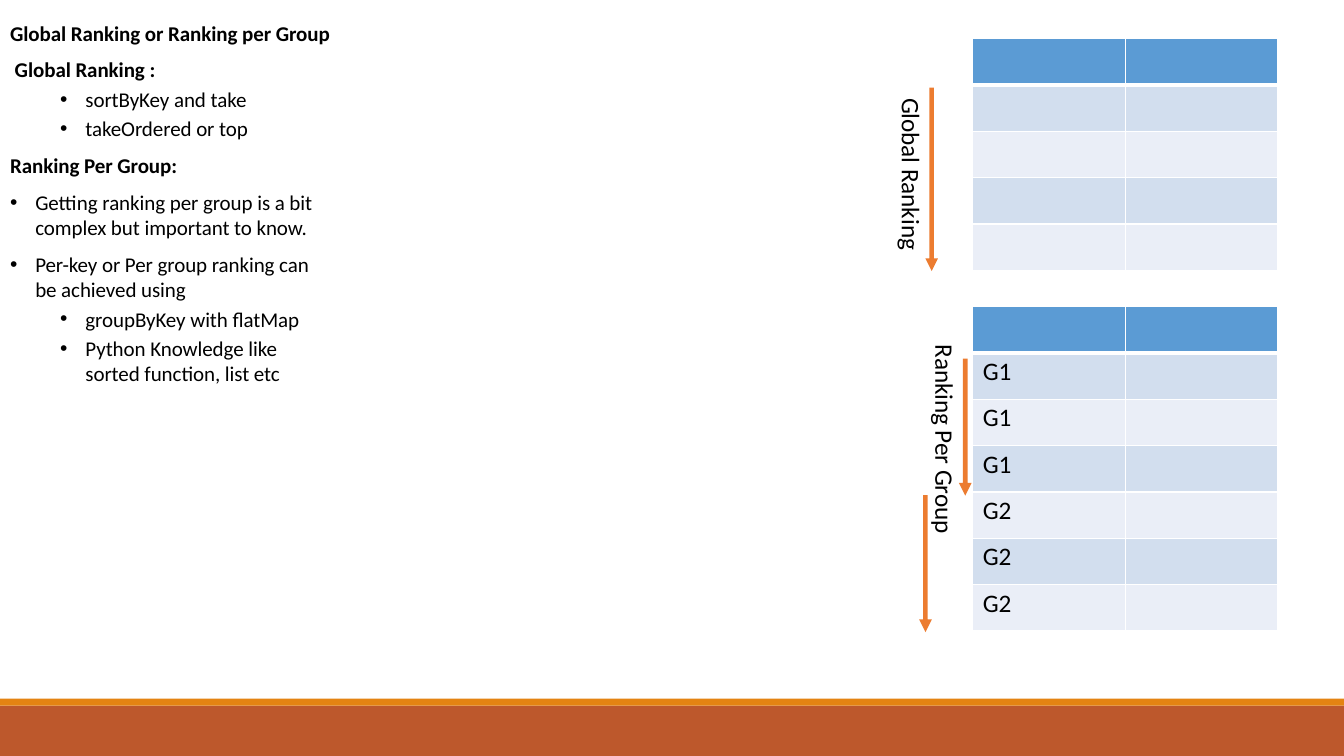
from lxml import etree
from pptx import Presentation
from pptx.dml.color import RGBColor
from pptx.enum import shapes, text
from pptx.oxml import ns
from pptx.util import Pt

BLACK = RGBColor(0x00, 0x00, 0x00)
RUST = RGBColor(0xBD, 0x58, 0x2C)
AMBER = RGBColor(0xE4, 0x83, 0x12)
ORANGE = RGBColor(0xEC, 0x7C, 0x30)
HEADER_BLUE = RGBColor(0x5B, 0x9B, 0xD4)
BANDS = RGBColor(0xD2, 0xDE, 0xEE), RGBColor(0xEA, 0xEE, 0xF7)

WIDTH, HEIGHT = 960, 540
TABLE_LEFT, COLUMN, ROW = 694.8, 108.9, 33.12
ARROW_WIDTH = 9

# text, level, left indent, space before, bullet, bold, line spacing
POINTS = [
    ("Global Ranking or Ranking per Group\v Global Ranking :", 0, 0.9, 1, False, True, 1.45),
    ("sortByKey and take", 1, 54.7, 3.2, True, False, 1.0),
    ("takeOrdered or top", 1, 54.7, 3.2, True, False, 1.0),
    ("Ranking Per Group:", 0, 0.9, 8.2, False, True, 1.0),
    ("Getting ranking per group is a bit\vcomplex but important to know.",
     0, 18.9, 8.2, True, False, 1.0),
    ("Per-key or Per group ranking can\vbe achieved using", 0, 18.9, 8.3, True, False, 1.0),
    ("groupByKey with flatMap", 1, 54.7, 3.1, True, False, 1.0),
    ("Python Knowledge like\vsorted function, list etc", 1, 54.7, 3.2, True, False, 1.0),
]


def add_xml(parent, tag, **attributes):
    return etree.SubElement(parent, ns.qn(tag), attributes)


def write(paragraph, words, size=18, bold=False, before=0, spacing=1.0,
          indent=0.9, bullet=False, level=0, tracking=-5):
    """Fill a paragraph and format it; a bullet hangs left of the indent."""
    paragraph.text = words
    paragraph.level = level
    paragraph.alignment = text.PP_ALIGN.LEFT
    paragraph.space_before = Pt(before)
    paragraph.space_after = Pt(0)
    paragraph.line_spacing = spacing
    for run in paragraph.runs:
        run.font.name = "Calibri"
        run.font.size = Pt(size)
        run.font.bold = bold
        run.font.color.rgb = BLACK
        run._r.get_or_add_rPr().set("spc", str(tracking))
    properties = paragraph._p.get_or_add_pPr()
    properties.set("marL", str(Pt(indent)))
    properties.set("indent", str(Pt(-18 if bullet else 0)))
    if bullet:
        add_xml(properties, "a:buFont", typeface="Arial")
        add_xml(properties, "a:buChar", char="•")
    else:
        add_xml(properties, "a:buNone")


def set_insets(holder, left=0, top=0, right=0, bottom=0):
    holder.margin_left, holder.margin_top = Pt(left), Pt(top)
    holder.margin_right, holder.margin_bottom = Pt(right), Pt(bottom)


class RankingSlide:
    def __init__(self, presentation):
        self.slide = presentation.slides.add_slide(presentation.slide_layouts[1])
        self.shapes = self.slide.shapes
        heading = self.shapes.title.element
        heading.getparent().remove(heading)

    def filled(self, preset, left, top, width, height, color):
        figure = self.shapes.add_shape(preset, Pt(left), Pt(top), Pt(width), Pt(height))
        figure.shadow.inherit = False
        figure.fill.solid()
        figure.fill.fore_color.rgb = color
        figure.line.fill.background()
        return figure

    def bar(self, top, height, color):
        self.filled(shapes.MSO_SHAPE.RECTANGLE, 0, top, WIDTH, height, color)

    def down_arrow(self, left, top, height):
        arrow = self.filled(shapes.MSO_SHAPE.DOWN_ARROW, left, top, ARROW_WIDTH, height, ORANGE)
        arrow.adjustments[0] = 0.36
        arrow.adjustments[1] = 1

    def outline(self, points):
        body = self.slide.placeholders[1]
        body.left, body.top, body.width, body.height = Pt(6.3), Pt(5.3), Pt(418.3), Pt(217.4)
        frame = body.text_frame
        frame.word_wrap = True
        frame.auto_size = text.MSO_AUTO_SIZE.SHAPE_TO_FIT_TEXT
        frame.vertical_anchor = text.MSO_ANCHOR.TOP
        set_insets(frame, top=1)
        for number, (words, level, indent, before, bullet, bold, spacing) in enumerate(points):
            paragraph = frame.add_paragraph() if number else frame.paragraphs[0]
            write(paragraph, words, size=15, bold=bold, before=before, spacing=spacing,
                  indent=indent, bullet=bullet, level=level)

    def table(self, top, groups):
        """Draw a header row and one banded row per group name."""
        count = len(groups) + 1
        grid = self.shapes.add_table(count, 2, Pt(TABLE_LEFT), Pt(top),
                                     Pt(2 * COLUMN), Pt(count * ROW)).table
        for column in grid.columns:
            column.width = Pt(COLUMN)
        for index, row in enumerate(grid.rows):
            row.height = Pt(ROW)
            for cell in row.cells:
                self.borders(cell, top=3 if index == 1 else 1, bottom=1 if index else 3)
                cell.fill.solid()
                cell.fill.fore_color.rgb = BANDS[(index - 1) % 2] if index else HEADER_BLUE
            if index and groups[index - 1]:
                group_cell = row.cells[0]
                set_insets(group_cell, top=2.4)
                write(group_cell.text_frame.paragraphs[0], groups[index - 1],
                      before=2.5, indent=7.2, tracking=0)

    def borders(self, cell, top, bottom):
        properties = cell._tc.get_or_add_tcPr()
        for side, width in (("L", 1), ("R", 1), ("T", top), ("B", bottom)):
            edge = add_xml(properties, f"a:ln{side}", w=str(Pt(width)))
            add_xml(add_xml(edge, "a:solidFill"), "a:srgbClr", val="FFFFFF")

    def vertical_label(self, words, left, top, height):
        label = self.shapes.add_textbox(Pt(left), Pt(top), Pt(20.2), Pt(height))
        frame = label.text_frame
        frame.word_wrap = True
        set_insets(frame)
        label.element.find(".//" + ns.qn("a:bodyPr")).set("vert", "vert")
        write(frame.paragraphs[0], words, spacing=Pt(18.1))


def main():
    presentation = Presentation()
    presentation.slide_width, presentation.slide_height = Pt(WIDTH), Pt(HEIGHT)
    ranking = RankingSlide(presentation)
    ranking.bar(504, 36, RUST)
    ranking.bar(499, 5, AMBER)
    ranking.outline(POINTS)
    ranking.table(27.6, [""] * 4)
    ranking.table(219, ["G1"] * 3 + ["G2"] * 3)
    for left, top, height in ((661, 62.6, 131), (685, 256.2, 97.8), (656.6, 353.7, 97.8)):
        ranking.down_arrow(left, top, height)
    ranking.vertical_label("Global Ranking", 638.6, 69.1, 111.6)
    ranking.vertical_label("Ranking Per Group", 662.4, 245.2, 138.2)
    presentation.save("out.pptx")


if __name__ == "__main__":
    main()
